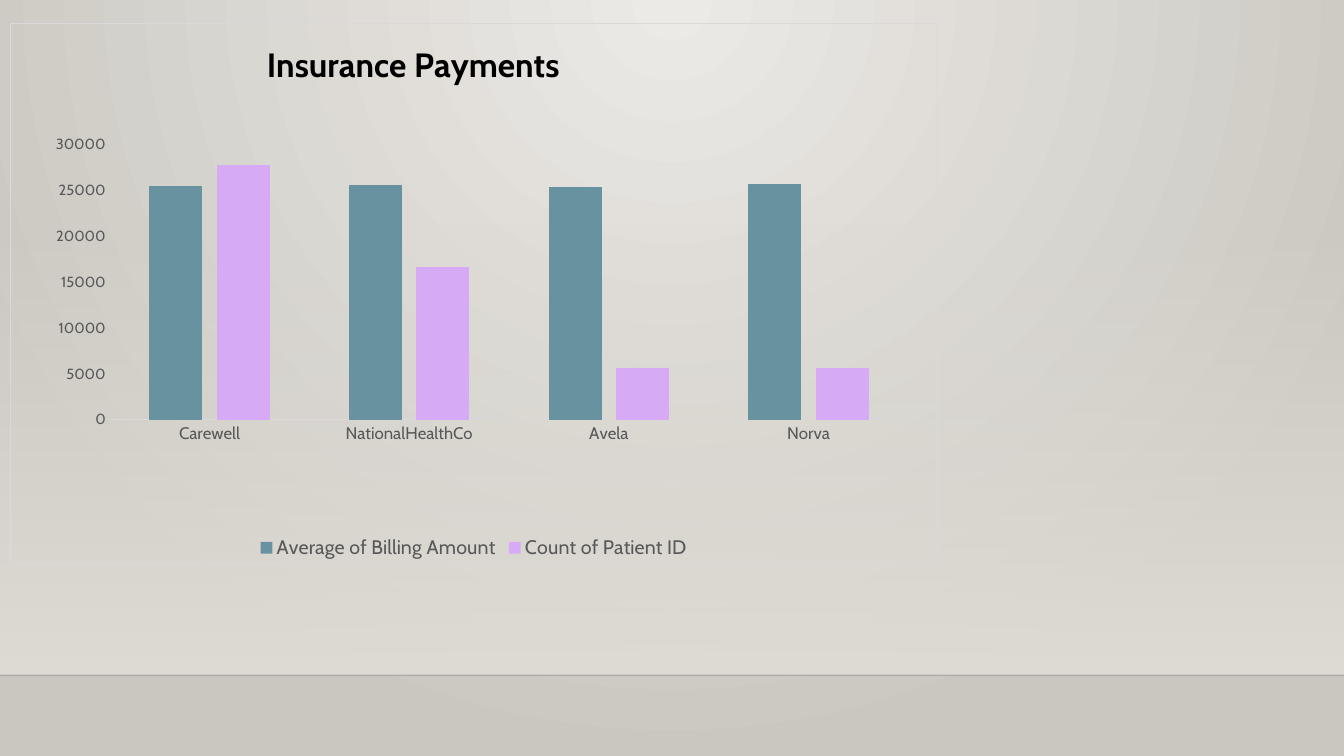
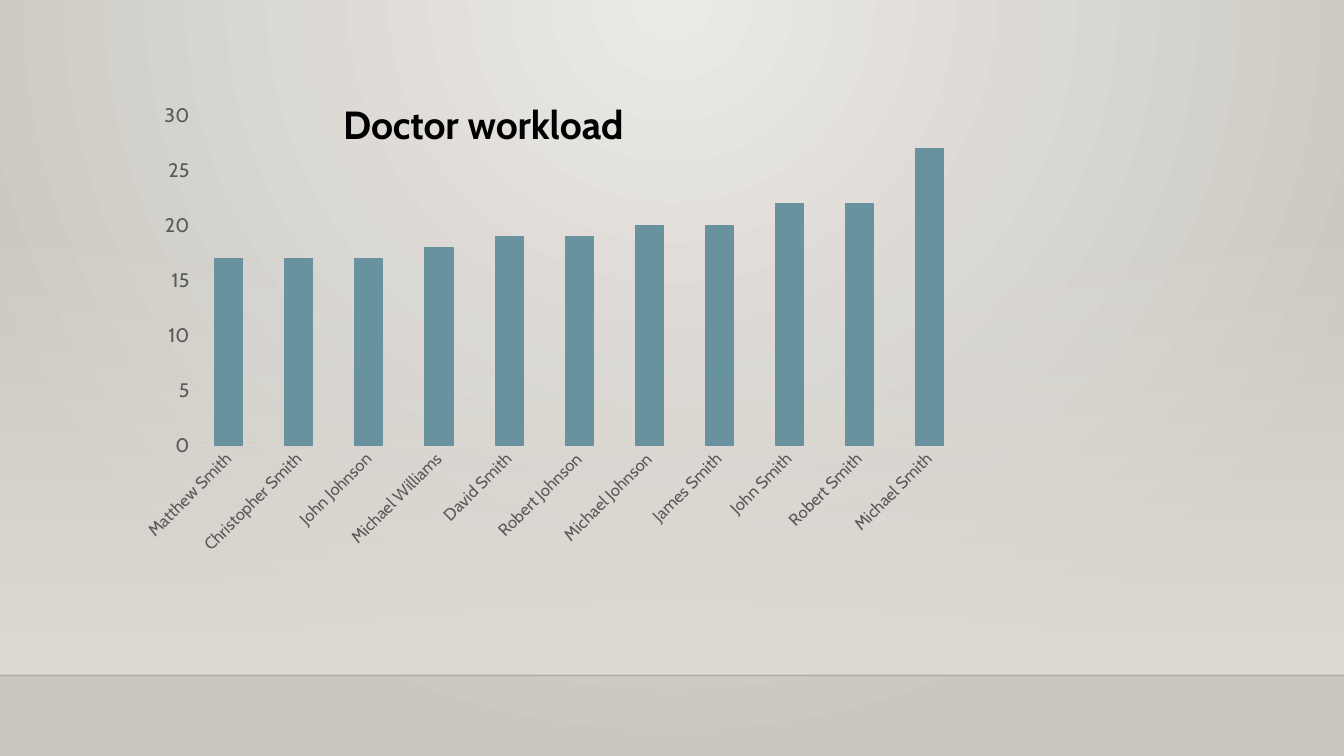
"""Two column-chart slides over a shared soft grey backdrop."""
from lxml import etree
from pptx import Presentation
from pptx.chart.data import CategoryChartData
from pptx.dml.color import RGBColor
from pptx.enum.chart import XL_CHART_TYPE as ChartType, XL_LEGEND_POSITION as LegendPosition
from pptx.enum.chart import XL_TICK_MARK as TickMark
from pptx.enum.shapes import MSO_CONNECTOR as Connector, MSO_SHAPE as Shape
from pptx.oxml import parse_xml
from pptx.oxml.ns import nsdecls, qn
from pptx.util import Inches, Pt

WIDTH, HEIGHT = 13.33, 7.5
BAND_TOP, FLOOR = 2.21, 6.7
FONT = "Cabin"
TEAL, LILAC, INK, LABEL, RULE = "6892A0", "D7AAF6", "000000", "595959", "D9D9D9"
GLOW, EDGE, HAZE, FLOOR_LINE = "ECEAE7", "CAC7C1", "DFDBD5", "000001"

CHARTS = [
    {
        "title": "Insurance Payments", "title_size": 24, "title_at": (0.27, 0.02),
        "frame": (0.1, 0.23, 9.2, 5.37), "plot": (0.107, 0.224, 0.862, 0.509),
        "categories": ["Carewell", "NationalHealthCo", "Avela", "Norva"],
        "series": [
            ("Average of Billing Amount", [25500, 25600, 25400, 25700], TEAL),
            ("Count of Patient ID", [27800, 16600, 5600, 5600], LILAC),
        ],
        "value_size": 10.5, "top": 30000, "step": 5000,
        "legend": True, "border": True, "outline": False, "angle": 0,
    },
    {
        "title": "Doctor workload", "title_size": 28, "title_at": (0.3, 0.03),
        "frame": (0.47, 0.75, 9.54, 4.87), "plot": (0.152, 0.081, 0.801, 0.672),
        "categories": [
            "Matthew Smith", "Christopher Smith", "John Johnson", "Michael Williams",
            "David Smith", "Robert Johnson", "Michael Johnson", "James Smith",
            "John Smith", "Robert Smith", "Michael Smith",
        ],
        "series": [("Series 1", [17, 17, 17, 18, 19, 19, 20, 20, 22, 22, 27], TEAL)],
        "value_size": 14, "top": 30, "step": 5,
        "legend": False, "border": False, "outline": True, "angle": -45,
    },
]


def color(code):
    return RGBColor.from_string(code)


def set_font(font, size, code, bold=False):
    font.name, font.size, font.bold = FONT, Pt(size), bold
    font.color.rgb = color(code)


def set_line(line, code, width):
    line.color.rgb = color(code)
    line.width = Pt(width)


def set_alpha(element, percent):
    etree.SubElement(element, qn("a:alpha")).set("val", str(percent * 1000))


def set_stops(fill, *codes):
    fill.gradient()
    for stop, code in zip(fill.gradient_stops, codes):
        stop.color.rgb = color(code)


def paint_master(deck, page):
    master = deck.slide_master
    set_stops(master.background.fill, GLOW, EDGE)
    gradient = master.element.xpath(".//p:bg//a:gradFill")[0]
    for linear in gradient.findall(qn("a:lin")):
        gradient.remove(linear)
    gradient.append(parse_xml(
        f'<a:path {nsdecls("a")} path="circle">'
        '<a:fillToRect l="43000" t="0" r="43000" b="100000"/></a:path>'))

    haze = page.shapes.add_shape(
        Shape.RECTANGLE, 0, Inches(BAND_TOP), Inches(WIDTH), Inches(FLOOR - BAND_TOP))
    haze.shadow.inherit = False
    haze.line.fill.background()
    set_stops(haze.fill, HAZE, HAZE)
    haze.fill.gradient_angle = 270
    set_alpha(haze.element.xpath(".//a:gs/a:srgbClr")[0], 0)

    floor = page.shapes.add_connector(
        Connector.STRAIGHT, 0, Inches(FLOOR), Inches(WIDTH), Inches(FLOOR))
    set_line(floor.line, FLOOR_LINE, 1)
    set_alpha(floor.element.xpath(".//a:ln//a:srgbClr")[0], 20)
    etree.SubElement(floor.element.spPr, qn("a:effectLst"))

    for number, part in enumerate((haze, floor)):
        part.element.xpath("./*/p:cNvPr")[0].set("id", str(20 + number))
        master.shapes.element.insert(2 + number, part.element)


def place(element, index, at, inner=False):
    for old in element.findall(qn("c:layout")):
        element.remove(old)
    layout = etree.Element(qn("c:layout"))
    manual = etree.SubElement(layout, qn("c:manualLayout"))
    settings = [("layoutTarget", "inner")] if inner else []
    settings += [("xMode", "edge"), ("yMode", "edge"), *zip("xywh", at)]
    for name, value in settings:
        etree.SubElement(manual, qn(f"c:{name}")).set("val", str(value))
    element.insert(index, layout)


def clear_area(border=False):
    line = (f'<a:ln w="9525"><a:solidFill><a:srgbClr val="{RULE}"/></a:solidFill></a:ln>'
            if border else "<a:ln><a:noFill/></a:ln>")
    return parse_xml(f'<c:spPr {nsdecls("c", "a")}><a:noFill/>{line}</c:spPr>')


def style_axes(chart, item):
    category, value = chart.category_axis, chart.value_axis
    for axis, size in ((category, 12), (value, item["value_size"])):
        axis.has_major_gridlines = False
        axis.major_tick_mark = axis.minor_tick_mark = TickMark.NONE
        set_font(axis.tick_labels.font, size, LABEL)
    set_line(category.format.line, RULE, 0.75)
    value.format.line.fill.background()
    value.minimum_scale, value.maximum_scale = 0, item["top"]
    value.major_unit = item["step"]
    body = chart.element.xpath(".//c:catAx/c:txPr/a:bodyPr")[0]
    body.set("rot", str(item["angle"] * 60000))
    body.set("vert", "horz")


def add_column_chart(page, item):
    data = CategoryChartData()
    data.categories = item["categories"]
    for name, values, _ in item["series"]:
        data.add_series(name, values)
    frame = map(Inches, item["frame"])
    chart = page.shapes.add_chart(ChartType.COLUMN_CLUSTERED, *frame, data).chart
    set_font(chart.font, 10, INK)

    chart.has_title = True
    title = chart.chart_title
    title.text_frame.text = item["title"]
    set_font(title.text_frame.paragraphs[0].font, item["title_size"], INK, True)
    title.include_in_layout = False
    place(chart.element.xpath("c:chart/c:title")[0], 1, item["title_at"])

    chart.has_legend = item["legend"]
    if item["legend"]:
        chart.legend.position = LegendPosition.BOTTOM
        chart.legend.include_in_layout = False
        set_font(chart.legend.font, 14, LABEL)

    plot = chart.plots[0]
    plot.gap_width, plot.overlap, plot.vary_by_categories = 150, -27, False
    for series, (_, _, code) in zip(plot.series, item["series"]):
        series.format.fill.solid()
        series.format.fill.fore_color.rgb = color(code)
        if item["outline"]:
            set_line(series.format.line, code, 0.25)

    style_axes(chart, item)
    area = chart.element.xpath("c:chart/c:plotArea")[0]
    place(area, 0, item["plot"], inner=True)
    area.append(clear_area())
    chart.element.find(qn("c:txPr")).addprevious(clear_area(item["border"]))


def main():
    deck = Presentation()
    deck.slide_width, deck.slide_height = Inches(WIDTH), Inches(HEIGHT)
    pages = [deck.slides.add_slide(deck.slide_layouts[6]) for _ in CHARTS]
    paint_master(deck, pages[0])
    for page, item in zip(pages, CHARTS):
        add_column_chart(page, item)
    deck.save("out.pptx")


if __name__ == "__main__":
    main()
